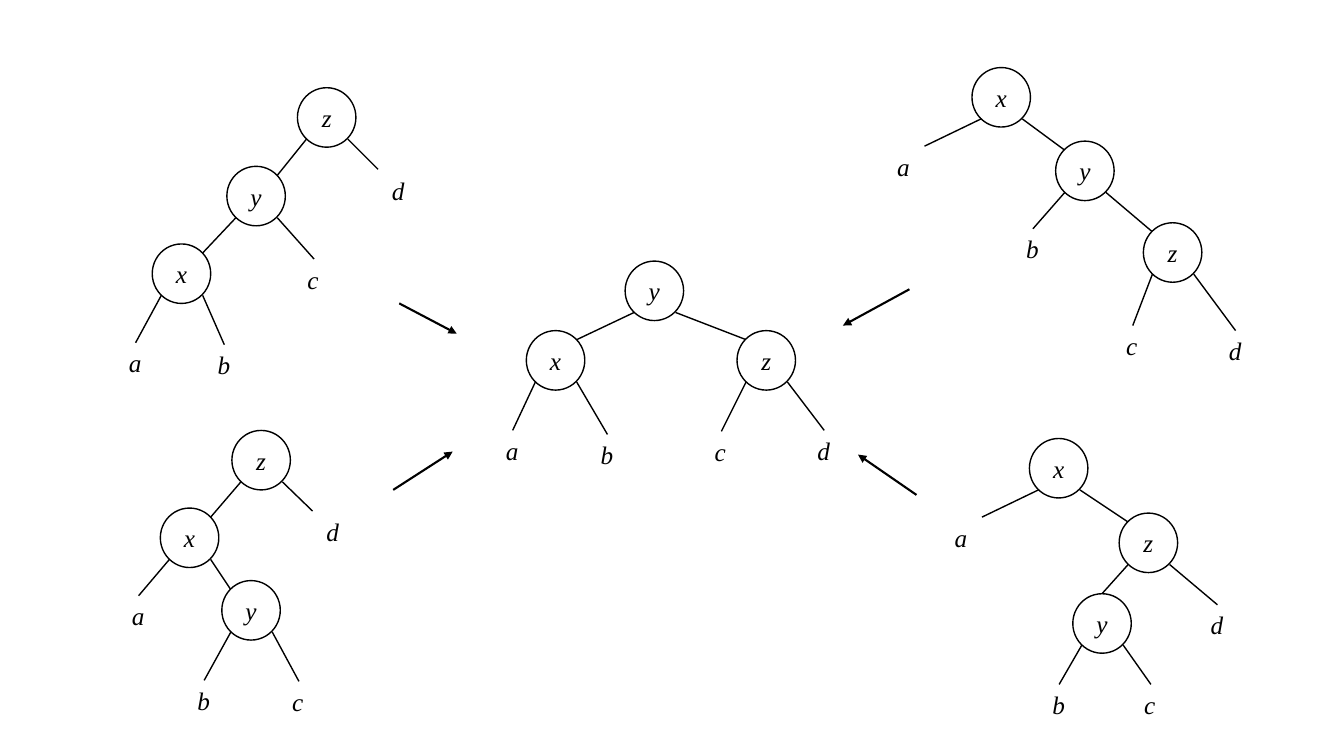
from lxml.etree import SubElement
from pptx import Presentation
from pptx.dml.color import RGBColor
from pptx.enum.shapes import MSO_CONNECTOR, MSO_SHAPE
from pptx.enum.text import MSO_ANCHOR, MSO_AUTO_SIZE, PP_ALIGN
from pptx.oxml.ns import qn
from pptx.util import Inches, Pt

BLACK = RGBColor(0x00, 0x00, 0x00)
WHITE = RGBColor(0xFF, 0xFF, 0xFF)
NODE_W, NODE_H = 0.58, 0.59
NEAR, FAR, LOW = 0.09, 0.5, 0.51
LEAF_W, LEAF_H = 0.33, 0.4

TREES = [
    {"y": (6.2, 2.59, None), "x": (5.22, 3.28, "y"), "z": (7.31, 3.28, "y"),
     "a": (4.92, 4.27, "x"), "b": (5.86, 4.31, "x"),
     "c": (6.99, 4.28, "z"), "d": (8.01, 4.27, "z")},
    {"x": (10.21, 4.35, None), "a": (9.24, 5.04, "x"), "z": (11.1, 5.09, "x"),
     "y": (10.64, 5.89, "z"), "d": (11.91, 6, "z"),
     "b": (10.34, 6.79, "y"), "c": (11.25, 6.79, "y")},
    {"z": (2.3, 4.27, None), "d": (3.01, 4.98, "z"), "x": (1.59, 5.04, "z"),
     "a": (1.21, 5.91, "x"), "y": (2.2, 5.76, "x"),
     "b": (1.86, 6.75, "y"), "c": (2.8, 6.76, "y")},
    {"x": (9.64, 0.67, None), "a": (8.67, 1.36, "x"), "y": (10.47, 1.4, "x"),
     "b": (10.08, 2.27, "y"), "z": (11.34, 2.21, "y"),
     "c": (11.07, 3.23, "z"), "d": (12.09, 3.28, "z")},
    {"z": (2.95, 0.87, None), "d": (3.66, 1.59, "z"), "y": (2.25, 1.65, "z"),
     "x": (1.51, 2.42, "y"), "c": (2.95, 2.57, "y"),
     "a": (1.18, 3.4, "x"), "b": (2.06, 3.42, "x")},
]
ARROWS = [
    (3.96, 3.01, 4.53, 3.31),
    (3.9, 4.86, 4.49, 4.48),
    (9.02, 2.87, 8.36, 3.23),
    (9.09, 4.91, 8.51, 4.51),
]


def add_text(sp, text, size=18, font="Times New Roman", color=BLACK, align=PP_ALIGN.LEFT):
    p = sp.text_frame.paragraphs[0]
    p.alignment = align
    r = p.add_run()
    r.text = text
    r.font.size = Pt(size)
    r.font.name = font
    r.font.italic = True
    r.font.color.rgb = color


def add_line(shapes, x1, y1, x2, y2, width=1, arrow=False):
    c = shapes.add_connector(MSO_CONNECTOR.STRAIGHT, Inches(x1), Inches(y1), Inches(x2), Inches(y2))
    c.line.color.rgb = BLACK
    c.line.width = Pt(width)
    spPr = c._element.spPr
    if arrow:
        SubElement(spPr.find(qn("a:ln")), qn("a:tailEnd"), type="triangle")
    SubElement(spPr, qn("a:effectLst"))


prs = Presentation()
prs.slide_width = Inches(13.33)
prs.slide_height = Inches(7.5)
s = prs.slides.add_slide(prs.slide_layouts[6])

for tree in TREES:
    shapes = s.shapes.add_group_shape().shapes
    for name, (left, top, parent) in tree.items():
        is_node = name in "xyz"
        is_round = is_node or tree[parent][2] is None

        if parent:
            px, py, _ = tree[parent]
            goes_left = left < px
            if not is_round:
                end = left + LEAF_W / 2, top
            elif abs(left - px) < NODE_W:
                end = left + NODE_W / 2, top
            else:
                end = left + (FAR if goes_left else NEAR), top + NEAR
            add_line(shapes, px + (NEAR if goes_left else FAR), py + LOW, *end)

        if is_round:
            sp = shapes.add_shape(MSO_SHAPE.OVAL, Inches(left), Inches(top), Inches(NODE_W), Inches(NODE_H))
            sp.shadow.inherit = False
            if is_node:
                sp.fill.solid()
                sp.fill.fore_color.rgb = WHITE
                sp.line.color.rgb = BLACK
                sp.line.width = Pt(1)
            else:
                sp.fill.background()
                sp.line.fill.background()
            tf = sp.text_frame
            tf.vertical_anchor = MSO_ANCHOR.MIDDLE
            tf.margin_left = tf.margin_right = tf.margin_top = tf.margin_bottom = Inches(0.04)
            add_text(sp, name, align=PP_ALIGN.CENTER)
        else:
            sp = shapes.add_textbox(Inches(left), Inches(top), Inches(LEAF_W), Inches(LEAF_H))
            sp.text_frame.word_wrap = False
            sp.text_frame.auto_size = MSO_AUTO_SIZE.SHAPE_TO_FIT_TEXT
            add_text(sp, name)

for arrow in ARROWS:
    add_line(s.shapes, *arrow, width=1.5, arrow=True)

prs.save("out.pptx")
